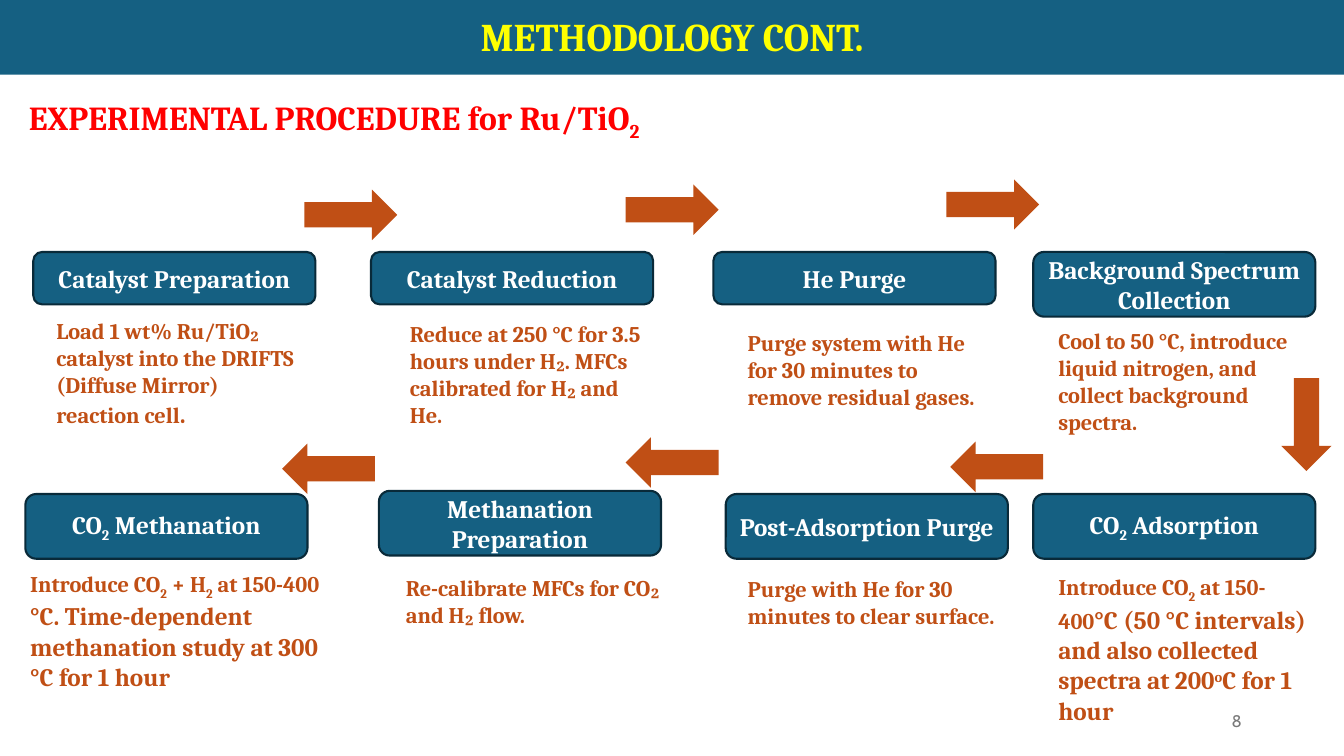
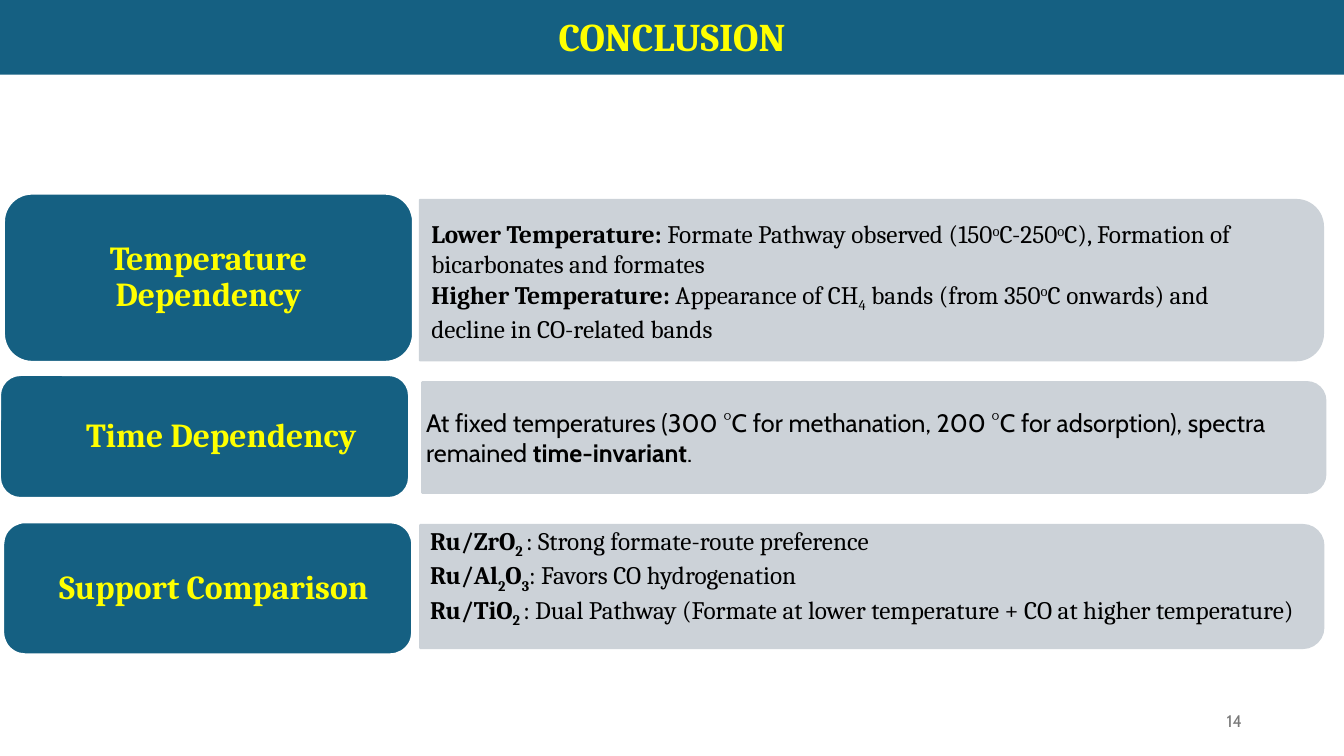
from pptx import Presentation
from pptx.dml.color import RGBColor
from pptx.enum.shapes import MSO_SHAPE as SHAPE
from pptx.enum.text import MSO_ANCHOR as ANCHOR, MSO_AUTO_SIZE as AUTO, PP_ALIGN as ALIGN
from pptx.util import Cm, Pt

COLORS = {
    "band": "156082", "card_line": "092A39", "title": "FFFF00", "heading": "FF0000",
    "accent": "C04F15", "panel": "CCD2D8", "white": "FFFFFF", "black": "000000",
    "number": "797979",
}
SERIF, SANS = "Cambria", "Cabin"
BASELINES = {"~": -25000, "^": 30000}
CARD_W = 7.11
ARROW_LENGTH, ARROW_WIDTH = 2.34, 1.27

# title, card (left, top, height), text, text box (left, top, width, height)
STEPS = [
    ("Catalyst Preparation", (0.84, 6.35, 1.32),
     "Load 1 wt% Ru/TiO₂ catalyst into the DRIFTS (Diffuse Mirror) reaction cell|.|",
     (1.17, 7.87, 6.5, 3.07)),
    ("Catalyst Reduction", (9.35, 6.35, 1.32),
     "Reduce at 250 °C for 3.5 hours under H₂. MFCs calibrated for H₂ and He.",
     (10.08, 7.95, 6.5, 3)),
    ("He Purge", (17.98, 6.35, 1.32),
     "Purge system with He for 30 minutes to remove residual gases.",
     (18.59, 8.18, 6.5, 2.31)),
    ("Background Spectrum Collection", (26.04, 6.35, 1.63),
     "Cool to 50 °C, introduce liquid nitrogen, and collect background spectra.",
     (26.42, 8.13, 6.5, 3)),
    ("CO~2~ Adsorption", (26.04, 12.45, 1.63),
     "Introduce CO~2~ at 150-400|°C (50 °C intervals) and also collected "
     "spectra at 200^o^C for 1 hour|",
     (26.42, 14.33, 7.11, 4.01)),
    ("Post-Adsorption Purge", (18.29, 12.45, 1.63),
     "Purge with He for 30 minutes to clear surface.",
     (18.59, 14.38, 7.11, 1.63)),
    ("Methanation Preparation", (9.55, 12.37, 1.63),
     "Re-calibrate MFCs for CO₂ and H₂ flow.",
     (9.98, 14.35, 7.11, 1.63)),
    ("CO~2~ Methanation", (0.64, 12.45, 1.63),
     "Introduce CO~2~ + H~2~ at 150-400| °C. Time-dependent methanation study "
     "at 300 °C for 1 hour|",
     (0.51, 14.17, 8.26, 3.25)),
]
ARROWS = [
    (SHAPE.RIGHT_ARROW, 7.67, 4.78), (SHAPE.RIGHT_ARROW, 15.77, 4.65),
    (SHAPE.RIGHT_ARROW, 23.85, 4.52), (SHAPE.DOWN_ARROW, 32.29, 9.53),
    (SHAPE.LEFT_ARROW, 23.95, 11.13), (SHAPE.LEFT_ARROW, 15.77, 11.02),
    (SHAPE.LEFT_ARROW, 7.11, 11.18),
]
# label, pill box, extra left inset, panel box, paragraphs, text box, font
FINDINGS = [
    ("Temperature Dependency", (0.1, 4.88, 10.31, 4.24), 0, (10.58, 5.04, 22.76, 4.04),
     ["*Lower Temperature: *Formate Pathway observed (150^o^C-250^o^C), "
      "Formation of bicarbonates and formates",
      "*Higher Temperature: *Appearance of CH~4~ bands (from 350^o^C onwards) "
      "and decline in CO-related bands"],
     (10.62, 5.38, 22, 3.33), SERIF),
    ("Time Dependency", (0, 9.45, 10.31, 3.1), 0.84, (10.64, 9.63, 22.76, 2.79),
     ["At fixed temperatures (300 °C for methanation, 200 °C for adsorption), "
      "spectra remained *time-invariant*."],
     (10.49, 10.13, 21.89, 1.8), SANS),
    ("Support Comparison", (0.08, 13.16, 10.31, 3.33), 0.3, (10.59, 13.23, 22.76, 3.1),
     ["*Ru/ZrO~2 ~*: Strong formate-route preference",
      "*Ru/Al~2~O~3~*: Favors CO hydrogenation",
      "*Ru/TiO~2 ~*: Dual Pathway (Formate at lower temperature + CO at higher temperature)"],
     (10.59, 13.11, 22.96, 3.33), SERIF),
]


def rgb(name):
    return RGBColor.from_string(COLORS[name])


def lengths(box):
    return [Cm(v) for v in box]


def split_runs(text):
    """Yield (text, marks): * turns bold, | enlarges, ~ lowers, ^ raises, up to the next mark."""
    marks, part = set(), ""
    for ch in text:
        if ch in "*|~^":
            if part:
                yield part, set(marks)
            marks ^= {ch}
            part = ""
        else:
            part += ch
    if part:
        yield part, marks


def write(tf, paragraphs, *, size, color, font=SERIF, bold=False, align=ALIGN.LEFT,
          anchor=ANCHOR.TOP, spacing=None, big=18):
    """Fill a text frame with marked-up paragraphs."""
    tf.word_wrap, tf.auto_size, tf.vertical_anchor = True, AUTO.NONE, anchor
    for i, text in enumerate(paragraphs):
        p = tf.add_paragraph() if i else tf.paragraphs[0]
        p.alignment = align
        if spacing:
            p.line_spacing = spacing
        for part, marks in split_runs(text):
            r = p.add_run()
            r.text = part
            r.font.name, r.font.size = font, Pt(big if "|" in marks else size)
            r.font.bold = bold or "*" in marks
            r.font.color.rgb = rgb(color)
            for mark in marks & set(BASELINES):
                r.font._element.set("baseline", str(BASELINES[mark]))


def add_text(slide, box, paragraphs, **fmt):
    write(slide.shapes.add_textbox(*lengths(box)).text_frame, paragraphs, **fmt)


def add_block(slide, kind, box, fill, line=None):
    sp = slide.shapes.add_shape(kind, *lengths(box))
    sp.shadow.inherit = False
    sp.fill.solid()
    sp.fill.fore_color.rgb = rgb(fill)
    if line:
        sp.line.color.rgb = rgb(line)
        sp.line.width = Pt(1.5)
    else:
        sp.line.fill.background()
    return sp


def add_card(slide, title, left, top, height):
    sp = add_block(slide, SHAPE.ROUNDED_RECTANGLE, (left, top, CARD_W, height),
                   "band", "card_line")
    write(sp.text_frame, [title], size=18, color="white", bold=True,
          align=ALIGN.CENTER, anchor=ANCHOR.MIDDLE)


def add_arrow(slide, kind, left, top):
    size = (ARROW_LENGTH, ARROW_WIDTH)
    if kind == SHAPE.DOWN_ARROW:
        size = size[::-1]
    add_block(slide, kind, (left, top, *size), "accent")


def add_pill(slide, label, box, shift):
    sp = add_block(slide, SHAPE.ROUNDED_RECTANGLE, box, "band", "white")
    tf = sp.text_frame
    tf.margin_left, tf.margin_right = Cm(0.38 + shift), Cm(0.38)
    write(tf, [label], size=24, color="title", bold=True, align=ALIGN.CENTER,
          anchor=ANCHOR.MIDDLE, spacing=0.9)


def add_panel(slide, left, top, width, height):
    """Turn a top-rounded rectangle so that its round corners face right."""
    offset = (width - height) / 2
    sp = add_block(slide, SHAPE.ROUND_2_SAME_RECTANGLE,
                   (left + offset, top - offset, height, width), "panel", "panel")
    sp.rotation = 90


def add_slide(prs, title, number):
    slide = prs.slides.add_slide(prs.slide_layouts[5])
    sp = slide.shapes.title
    sp.left, sp.top, sp.width, sp.height = lengths((0, -0.08, 33.87, 1.96))
    sp.fill.solid()
    sp.fill.fore_color.rgb = rgb("band")
    write(sp.text_frame, [title], size=28, color="title", bold=True,
          align=ALIGN.CENTER, anchor=ANCHOR.MIDDLE)
    add_text(slide, (23.93, 17.65, 7.62, 1.02), [number], size=12, color="number",
             font=SANS, align=ALIGN.RIGHT, anchor=ANCHOR.MIDDLE)
    return slide


def add_methodology(prs):
    slide = add_slide(prs, "METHODOLOGY CONT.", "8")
    add_text(slide, (0.48, 2.31, 19.2, 1.27), ["EXPERIMENTAL PROCEDURE for Ru/TiO~2~"],
             size=24, color="heading", bold=True)
    for title, card, text, box in STEPS:
        add_card(slide, title, *card)
        add_text(slide, box, [text], size=16, color="accent", bold=True)
    for arrow in ARROWS:
        add_arrow(slide, *arrow)


def add_conclusion(prs):
    slide = add_slide(prs, "CONCLUSION", "14")
    for label, pill, shift, panel, paragraphs, box, font in FINDINGS:
        add_pill(slide, label, pill, shift)
        add_panel(slide, *panel)
        add_text(slide, box, paragraphs, size=18, color="black", font=font)


def main():
    prs = Presentation()
    prs.slide_width, prs.slide_height = Cm(33.87), Cm(19.05)
    add_methodology(prs)
    add_conclusion(prs)
    prs.save("out.pptx")


if __name__ == "__main__":
    main()
